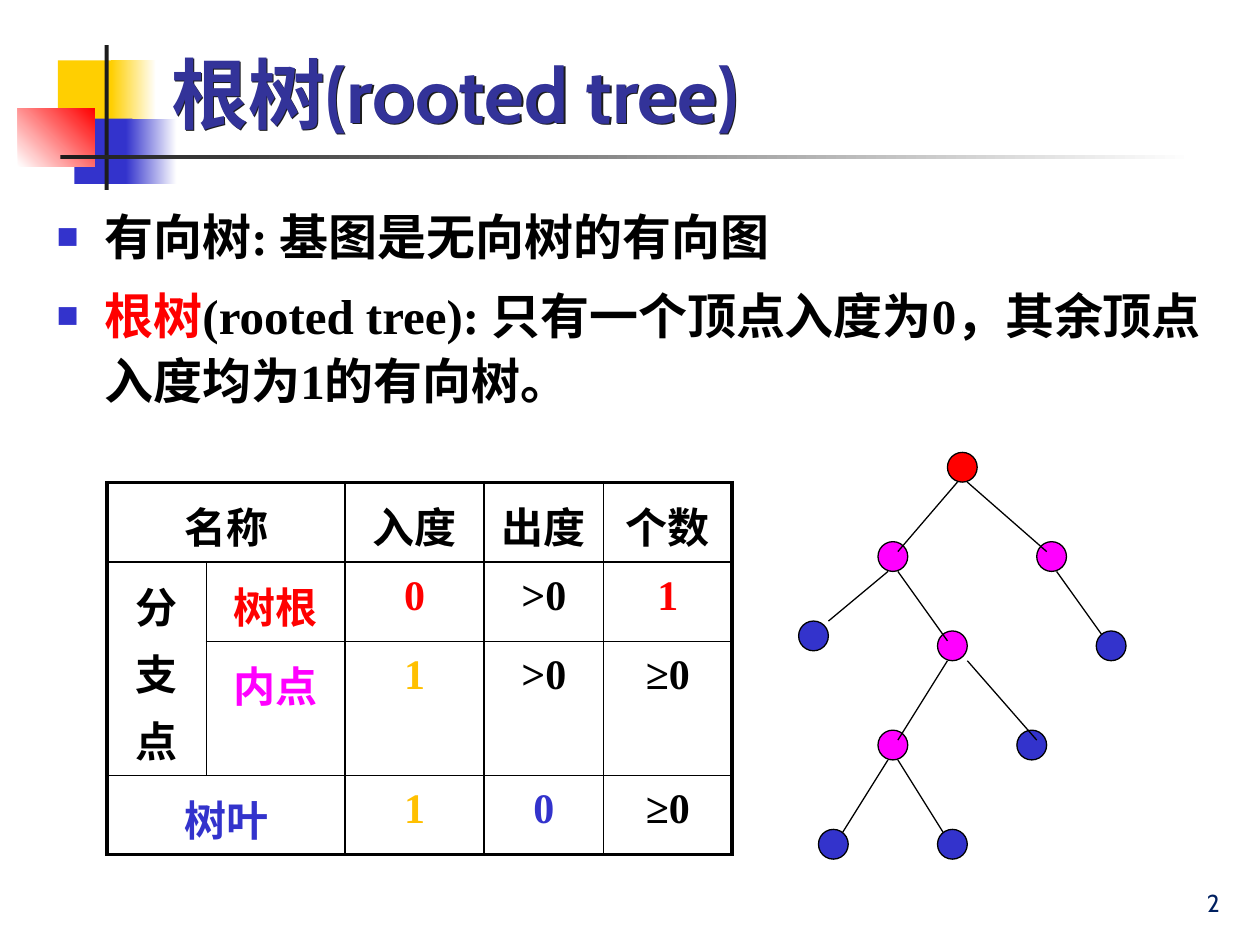
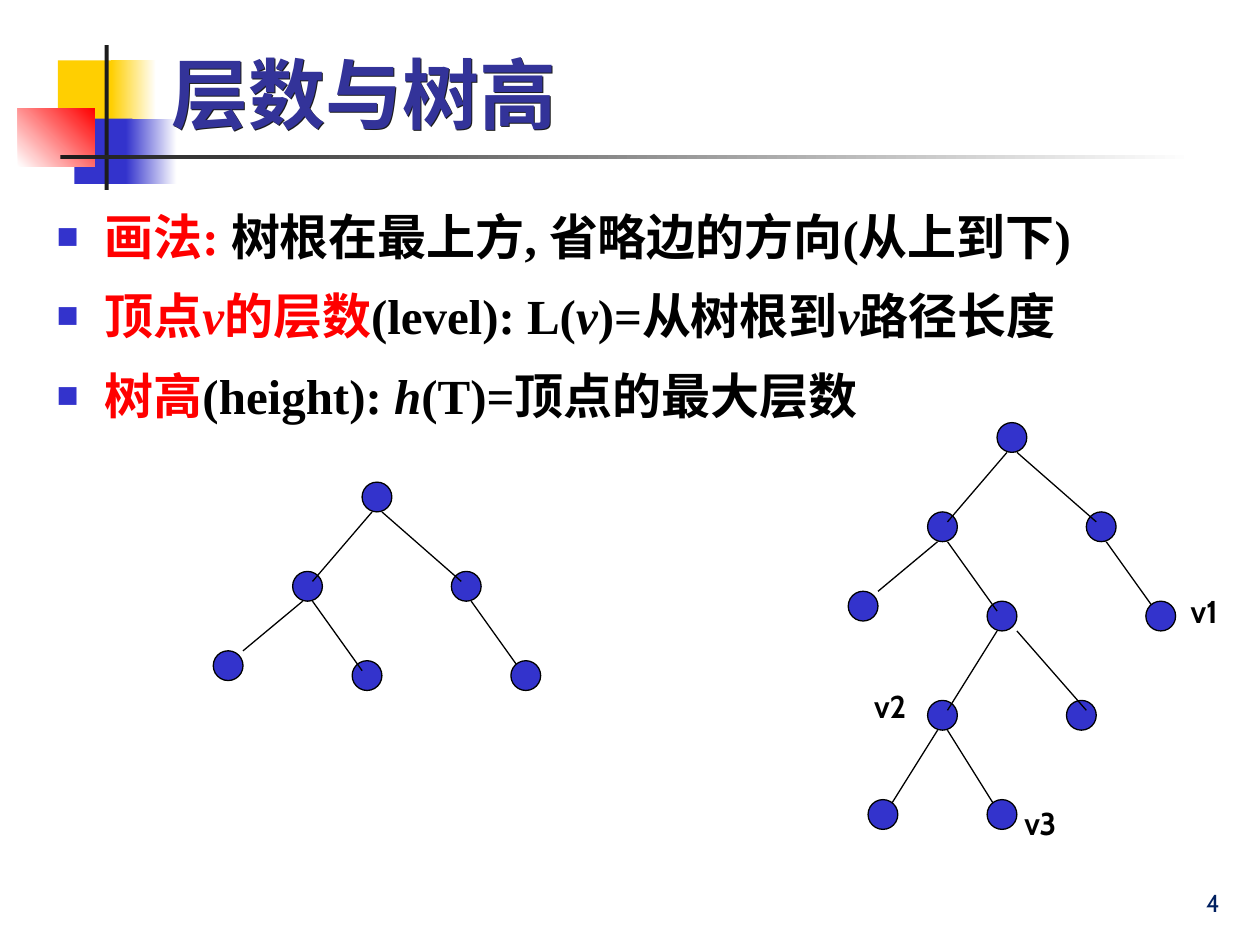
from dataclasses import dataclass
from typing import NamedTuple

from lxml import etree
from pptx import Presentation
from pptx import util as u
from pptx.dml.color import RGBColor
from pptx.enum import lang, shapes, text
from pptx.oxml import ns

COLORS = {
    "black": "000000", "white": "FFFFFF", "red": "FF0000", "magenta": "FF00FF",
    "blue": "3333CC", "yellow": "FFCF01", "gold": "FFC000", "ink": "1C1C1C",
    "title": "333399", "number": "002060",
}
HEADING_FONT, BODY_FONT = "Cabin", "Times New Roman"
LINE_SPACING = 1.1
CENTER, RIGHT = text.PP_ALIGN.CENTER, text.PP_ALIGN.RIGHT
BOTTOM = text.MSO_ANCHOR.BOTTOM


class Box(NamedTuple):
    left: float
    top: float
    width: float
    height: float


class Run(NamedTuple):
    text: str
    color: str = "black"
    italic: bool = False


class Band(NamedTuple):
    box: Box
    start: str
    end: str = ""      # empty for a plain fill
    angle: int = 0


@dataclass(frozen=True)
class Node:
    """A tree vertex, placed relative to the root, and the edge from its parent."""
    x: float
    y: float
    parent: str = ""
    start_x: float = 0.2
    end: tuple[float, float] = (0.4, 0.2)
    covers_edge: bool = False


# Corner ornament and rule below the title
BANDS = [
    Band(Box(1.17, 1.22, 1.22, 1.32), "yellow"),
    Band(Box(2.24, 1.22, 0.91, 1.32), "yellow", "white"),
    Band(Box(1.5, 2.39, 1.17, 1.32), "blue"),
    Band(Box(2.54, 2.39, 1.02, 1.32), "blue", "white"),
    Band(Box(0.36, 2.18, 1.55, 1.17), "white", "red", 45),
    Band(Box(2.11, 0.91, 0.08, 2.92), "ink"),
    Band(Box(1.22, 3.12, 22.86, 0.08), "ink", "white"),
]
TITLE_BOX = Box(3.2, 0.2, 21.64, 2.72)
BODY_BOX = Box(0.89, 3.92, 23.6, 14.6)
NUMBER_BOX = Box(19.56, 17.35, 5.28, 1.27)

# Trees: the small one is the top part of the large one
NODE_SIZE = 0.6
TO_RIGHT = {"start_x": 0.4, "end": (0.2, 0.2)}
SMALL_TREE = {
    "root": Node(0, 0),
    "left": Node(-1.4, 1.8, "root"),
    "right": Node(1.8, 1.8, "root", **TO_RIGHT),
    "outer left": Node(-3, 3.4, "left", end=(0.6, 0)),
    "middle": Node(-0.2, 3.6, "left", **TO_RIGHT),
    "outer right": Node(3, 3.6, "right", covers_edge=True, **TO_RIGHT),
}
LARGE_TREE = SMALL_TREE | {
    "lower left": Node(-1.4, 5.6, "middle"),
    "lower right": Node(1.4, 5.6, "middle", start_x=0.6),
    "bottom left": Node(-2.6, 7.6, "lower left", covers_edge=True),
    "bottom right": Node(-0.2, 7.6, "lower left", covers_edge=True, **TO_RIGHT),
}
ROLE_COLORS = {"root": "red"} | dict.fromkeys(
    ["left", "right", "middle", "lower left"], "magenta")

# Degree table
TABLE_LEFT, TABLE_TOP = 2.16, 9.73
COLUMN_WIDTHS = [2.0, 2.8, 2.8, 2.41, 2.59]
ROW_HEIGHTS = [1.6, 1.6, 2.7, 1.6]
MERGES = [((0, 0), (0, 1)), ((1, 0), (2, 0)), ((3, 0), (3, 1))]
DEGREE_ROWS = [
    [Run("名称"), None, Run("入度"), Run("出度"), Run("个数")],
    [Run("分支点"), Run("树根", "red"), Run("0", "red"), Run(">0"), Run("1", "red")],
    [None, Run("内点", "magenta"), Run("1", "gold"), Run(">0"), Run("≥0")],
    [Run("树叶", "blue"), None, Run("1", "gold"), Run("0", "blue"), Run("≥0")],
]

# Bullets of each slide
ROOTED_TREE = [
    [Run("有向树: 基图是无向树的有向图")],
    [Run("根树", "red"),
     Run("(rooted tree): 只有一个顶点入度为0，其余顶点入度均为1的有向树。")],
]
LEVEL_AND_HEIGHT = [
    [Run("画法: ", "red"), Run("树根在最上方, 省略边的方向(从上到下)")],
    [Run("顶点", "red"), Run("v", "red", True), Run("的层数", "red"),
     Run("(level): L("), Run("v", italic=True), Run(")=从树根到"),
     Run("v", italic=True), Run("路径长度")],
    [Run("树高", "red"), Run("(height): "), Run("h", italic=True),
     Run("(T)=顶点的最大层数")],
]
VERTEX_LABELS = {"v2": (17.37, 13.72), "v3": (20.4, 16.08), "v1": (23.75, 11.81)}


def rgb(name: str) -> RGBColor:
    return RGBColor.from_string(COLORS[name])


def lengths(values) -> list[u.Cm]:
    return [u.Cm(value) for value in values]


def child(parent, tag: str, **attributes):
    return etree.SubElement(parent, ns.qn(tag), attributes)


def add_bullet(paragraph) -> None:
    properties = paragraph._p.get_or_add_pPr()
    indent = u.Cm(0.97)
    properties.set("marL", str(indent))
    properties.set("indent", str(-indent))
    child(child(properties, "a:buClr"), "a:srgbClr", val=COLORS["blue"])
    child(properties, "a:buSzPct", val="75000")
    child(properties, "a:buFont", typeface="Arial")
    child(properties, "a:buChar", char="■")


def add_text_shadow(shape) -> None:
    """Cast a shadow from an unfilled box, which falls from its letters."""
    effects = child(shape._element.spPr, "a:effectLst")
    shadow = child(effects, "a:outerShdw", dist=str(u.Cm(0.05)), dir="2700000",
                   algn="tl", rotWithShape="0")
    child(shadow, "a:srgbClr", val=COLORS["ink"])


def write(frame, paragraphs: list[list[Run]], *, size: float, font: str = BODY_FONT,
          bold: bool = True, align=None, spacing: float | None = None,
          gap: float = 0, bullets: bool = False) -> None:
    """Fill a text frame with formatted paragraphs."""
    for index, runs in enumerate(paragraphs):
        paragraph = frame.add_paragraph() if index else frame.paragraphs[0]
        paragraph.alignment = align
        paragraph.line_spacing = spacing
        if index and gap:
            paragraph.space_before = u.Pt(gap)
        if bullets:
            add_bullet(paragraph)
        for item in runs:
            run = paragraph.add_run()
            run.text = item.text
            run.font.name, run.font.size = font, u.Pt(size)
            run.font.bold, run.font.italic = bold, item.italic
            run.font.color.rgb = rgb(item.color)
            run.font.language_id = lang.MSO_LANGUAGE_ID.SIMPLIFIED_CHINESE


def add_text(slide, box: Box, paragraphs: list[list[Run]], *, wrap: bool = True,
             anchor=text.MSO_ANCHOR.TOP, **text_format):
    shape = slide.shapes.add_textbox(*lengths(box))
    shape.text_frame.word_wrap = wrap
    shape.text_frame.vertical_anchor = anchor
    write(shape.text_frame, paragraphs, **text_format)
    return shape


def add_band(slide, band: Band) -> None:
    shape = slide.shapes.add_shape(shapes.MSO_SHAPE.RECTANGLE, *lengths(band.box))
    shape.shadow.inherit = False
    shape.line.fill.background()
    if not band.end:
        shape.fill.solid()
        shape.fill.fore_color.rgb = rgb(band.start)
        return
    shape.fill.gradient()
    shape.fill.gradient_angle = band.angle
    for position, (stop, color) in enumerate(
            zip(shape.fill.gradient_stops, (band.start, band.end))):
        stop.position = position
        stop.color.rgb = rgb(color)


def add_page(presentation, title: str, body: list[list[Run]], number: int):
    """Add a slide with ornament, title, bullets and page number."""
    slide = presentation.slides.add_slide(presentation.slide_layouts[6])
    for band in BANDS:
        add_band(slide, band)
    heading = add_text(slide, TITLE_BOX, [[Run(title, "title")]], anchor=BOTTOM,
                       size=44, font=HEADING_FONT)
    add_text_shadow(heading)
    add_text(slide, BODY_BOX, body, size=28, spacing=LINE_SPACING, gap=8.4,
             bullets=True)
    add_text(slide, NUMBER_BOX, [[Run(str(number), "number")]], anchor=BOTTOM,
             size=14, font=HEADING_FONT, bold=False, align=RIGHT)
    return slide


def set_borders(cell, widths: dict[str, float]) -> None:
    properties = cell._tc.get_or_add_tcPr()
    for position, (side, width) in enumerate(widths.items()):
        line = etree.Element(ns.qn(f"a:ln{side}"), w=str(u.Pt(width)))
        child(child(line, "a:solidFill"), "a:srgbClr", val=COLORS["black"])
        properties.insert(position, line)


def add_degree_table(slide) -> None:
    last_row, last_column = len(ROW_HEIGHTS) - 1, len(COLUMN_WIDTHS) - 1
    frame = slide.shapes.add_table(
        last_row + 1, last_column + 1,
        *lengths([TABLE_LEFT, TABLE_TOP, sum(COLUMN_WIDTHS), sum(ROW_HEIGHTS)]))
    table = frame.table
    table.first_row = table.horz_banding = False
    for column, width in zip(table.columns, COLUMN_WIDTHS):
        column.width = u.Cm(width)
    for row, height in zip(table.rows, ROW_HEIGHTS):
        row.height = u.Cm(height)
    for first, last in MERGES:
        table.cell(*first).merge(table.cell(*last))
    for r, entries in enumerate(DEGREE_ROWS):
        for c, entry in enumerate(entries):
            cell = table.cell(r, c)
            cell.fill.background()
            outer = {"L": c == 0, "R": c == last_column,
                     "T": r == 0, "B": r == last_row}
            set_borders(cell, {side: 2.25 if edge else 1
                               for side, edge in outer.items()})
            if entry:
                write(cell.text_frame, [[entry]], size=24, align=CENTER,
                      spacing=LINE_SPACING)


def add_edge(group, start: tuple[float, float], end: tuple[float, float]) -> None:
    edge = group.shapes.add_connector(
        shapes.MSO_CONNECTOR.STRAIGHT, *lengths([*start, *end]))
    edge.line.color.rgb = rgb("black")
    edge.line.width = u.Pt(0.75)
    child(edge._element.spPr, "a:effectLst")


def add_vertex(group, left: float, top: float, color: str) -> None:
    vertex = group.shapes.add_shape(
        shapes.MSO_SHAPE.OVAL, *lengths([left, top, NODE_SIZE, NODE_SIZE]))
    vertex.shadow.inherit = False
    vertex.fill.solid()
    vertex.fill.fore_color.rgb = rgb(color)
    vertex.line.color.rgb = rgb("black")
    vertex.line.width = u.Pt(0.75)


def add_tree(slide, left: float, top: float, nodes: dict[str, Node],
             colors: dict[str, str]) -> None:
    """Draw a tree whose root has its top left corner at the given place."""
    group = slide.shapes.add_group_shape()
    for name, node in nodes.items():
        x, y = left + node.x, top + node.y
        color = colors.get(name, "blue")
        if not node.covers_edge:
            add_vertex(group, x, y, color)
        if node.parent:
            parent = nodes[node.parent]
            add_edge(group,
                     (left + parent.x + node.start_x, top + parent.y + NODE_SIZE),
                     (x + node.end[0], y + node.end[1]))
        if node.covers_edge:
            add_vertex(group, x, y, color)


def main() -> None:
    presentation = Presentation()
    presentation.slide_width, presentation.slide_height = u.Cm(25.4), u.Cm(19.05)

    # Rooted tree
    slide = add_page(presentation, "根树(rooted tree)", ROOTED_TREE, 2)
    add_degree_table(slide)
    add_tree(slide, 19.1, 9.12, LARGE_TREE, ROLE_COLORS)

    # Levels and height
    slide = add_page(presentation, "层数与树高", LEVEL_AND_HEIGHT, 4)
    add_tree(slide, 20.1, 8.52, LARGE_TREE, {})
    add_tree(slide, 7.3, 9.72, SMALL_TREE, {})
    for label, place in VERTEX_LABELS.items():
        add_text(slide, Box(*place, 1.27, 1.02), [[Run(label)]], wrap=False,
                 size=18, font=HEADING_FONT)

    presentation.save("out.pptx")


if __name__ == "__main__":
    main()
